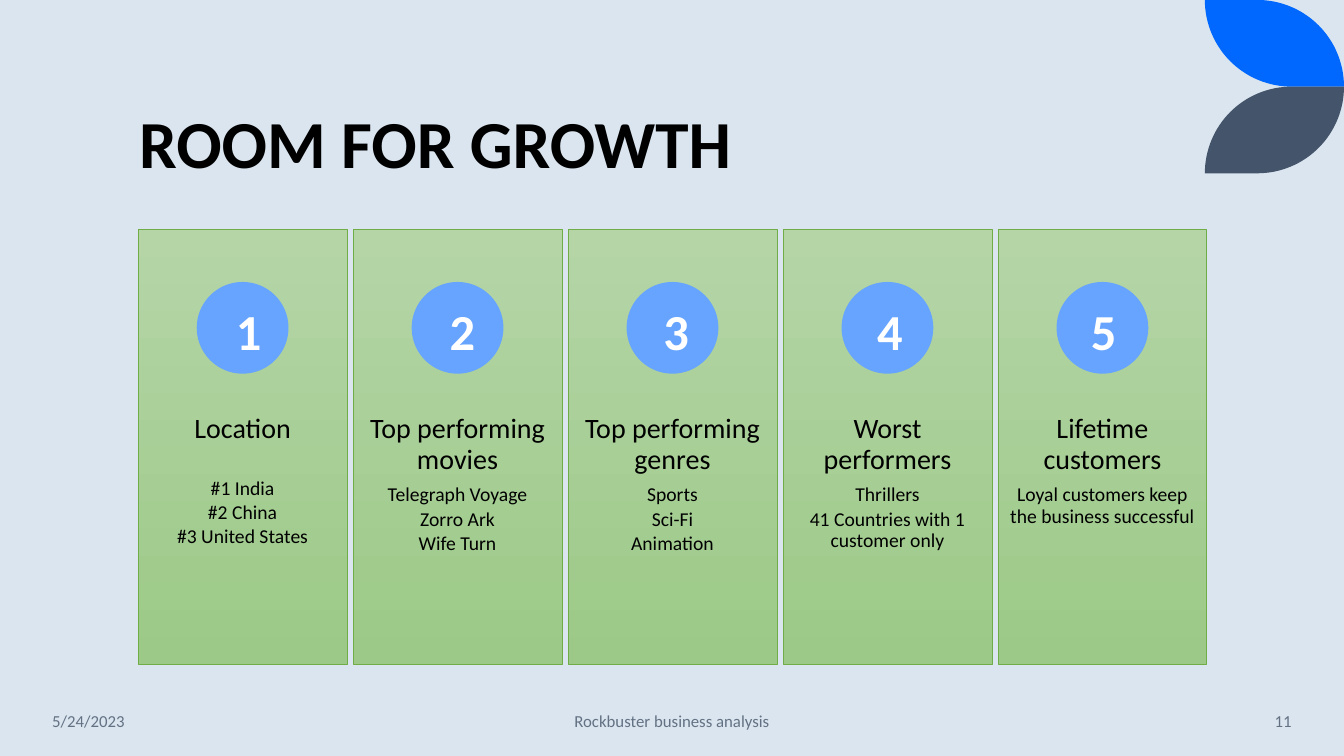
from math import cos, pi, sin

from pptx import Presentation
from pptx.dml.color import RGBColor
from pptx.enum.shapes import MSO_SHAPE
from pptx.enum.text import MSO_ANCHOR, PP_ALIGN
from pptx.util import Inches, Pt

WIDE, HIGH = 13.33, 7.5
FONT = "Calibri"
CARDS = [
    ("Location", ["#1 India", "#2 China", "#3 United States"]),
    ("Top performing movies", ["Telegraph Voyage", "Zorro Ark", "Wife Turn"]),
    ("Top performing genres", ["Sports", "Sci-Fi", "Animation"]),
    ("Worst performers", ["Thrillers", "41 Countries with 1 customer only"]),
    ("Lifetime customers", ["Loyal customers keep the business successful"]),
]


def color(hex_code):
    return RGBColor.from_string(hex_code)


def place(box):
    return [Inches(v) for v in box]


def paint(shape, fill):
    shape.shadow.inherit = False
    shape.fill.solid()
    shape.fill.fore_color.rgb = color(fill)
    shape.line.fill.background()


def style(para, size, ink, align=PP_ALIGN.LEFT, bold=False):
    para.alignment = align
    para.font.name = FONT
    para.font.size = Pt(size)
    para.font.color.rgb = color(ink)
    para.font.bold = bold


def label(slide, box, text, size, ink, align, bold=False, anchor=MSO_ANCHOR.TOP):
    frame = slide.shapes.add_textbox(*place(box)).text_frame
    frame.word_wrap = True
    frame.vertical_anchor = anchor
    frame.text = text
    style(frame.paragraphs[0], size, ink, align, bold)


def leaf(slide, box, fill, flip=False):
    """Two opposite corners square, the other two rounded by quarter arcs."""
    left, top, wide, high = box
    turns = [pi / 2 * i / 32 for i in range(33)]
    upper = [(wide - high + high * sin(t), high - high * cos(t)) for t in turns]
    lower = [(high - high * sin(t), high * cos(t)) for t in turns]
    points = [(Inches(left + x), Inches(top + (high - y if flip else y)))
              for x, y in upper + lower]
    pen = slide.shapes.build_freeform(*points[0])
    pen.add_line_segments(points[1:], close=True)
    paint(pen.convert_to_shape(), fill)


def corner(slide, box):
    left, top, wide, high = box
    half = high / 2
    leaf(slide, (left, top, wide, half), "0068FF")
    leaf(slide, (left, top + half, wide, half), "44546A", flip=True)


def heading(slide, box, text):
    title = slide.shapes.title
    title.left, title.top, title.width, title.height = place(box)
    frame = title.text_frame
    frame.word_wrap = True
    frame.vertical_anchor = MSO_ANCHOR.BOTTOM
    frame.text = text
    para = frame.paragraphs[0]
    style(para, 48, "000000", bold=True)
    para.line_spacing = 0.9


def card(slide, box, name, items):
    left, top, wide, high = box

    # Panel
    panel = slide.shapes.add_shape(MSO_SHAPE.RECTANGLE, *place(box))
    panel.shadow.inherit = False
    panel.fill.gradient()
    panel.fill.gradient_angle = 270
    for stop, shade in zip(panel.fill.gradient_stops, ("B5D5A7", "9CC987")):
        stop.color.rgb = color(shade)
    panel.line.color.rgb = color("70AD47")
    panel.line.width = Pt(0.5)

    # Disc
    size = 0.91
    disc = (left + (wide - size) / 2, top + 0.12 * high, size, size)
    paint(slide.shapes.add_shape(MSO_SHAPE.OVAL, *place(disc)), "66A4FF")

    # Name and items
    body = (left, top + 0.4 * high, wide, 0.4 * high)
    frame = slide.shapes.add_textbox(*place(body)).text_frame
    frame.word_wrap = True
    frame.margin_left = frame.margin_right = Inches(0.11)
    frame.margin_top = frame.margin_bottom = Inches(0.11)
    frame.text = "\n".join([name] + items)
    for i, para in enumerate(frame.paragraphs):
        style(para, 14 if i else 20, "000000", PP_ALIGN.CENTER)
        para.line_spacing = 0.9
        para.space_after = Pt(2.1 if i else 7)
    if " " not in name:  # a one-line name gets a line of air below it
        frame.paragraphs[1].space_before = Pt(17)


def cards(slide, box):
    left, top, wide, high = box
    gap = 0.06
    span = (wide - gap * (len(CARDS) - 1)) / len(CARDS)
    for i, (name, items) in enumerate(CARDS):
        card(slide, (left + i * (span + gap), top, span, high), name, items)
    # Numbers step a little tighter than the cards
    for i in range(len(CARDS)):
        spot = (left + 0.87 + 2.12 * i, top + 0.65, 0.38, 0.71)
        label(slide, spot, str(i + 1), 36, "FFFFFF", PP_ALIGN.CENTER, bold=True)


def footer(slide, box):
    left, top, wide, high = box
    parts = [
        (0, 1.86, "5/24/2023", PP_ALIGN.LEFT),
        ((wide - 4.5) / 2, 4.5, "Rockbuster business analysis", PP_ALIGN.CENTER),
        (wide - 1.81, 1.81, "11", PP_ALIGN.RIGHT),
    ]
    for shift, span, text, align in parts:
        label(slide, (left + shift, top, span, high), text, 12, "637183", align,
              anchor=MSO_ANCHOR.MIDDLE)


def main():
    deck = Presentation()
    deck.slide_width, deck.slide_height = Inches(WIDE), Inches(HIGH)
    slide = deck.slides.add_slide(deck.slide_layouts[5])
    slide.background.fill.solid()
    slide.background.fill.fore_color.rgb = color("DAE5EF")
    corner(slide, (WIDE - 1.38, 0, 1.38, 1.72))
    heading(slide, (1.28, 0.42, 10.69, 1.45), "ROOM FOR GROWTH")
    cards(slide, (1.37, 2.28, 10.6, 4.31))
    footer(slide, (0.42, 6.95, WIDE - 0.84, 0.4))
    deck.save("out.pptx")


if __name__ == "__main__":
    main()
